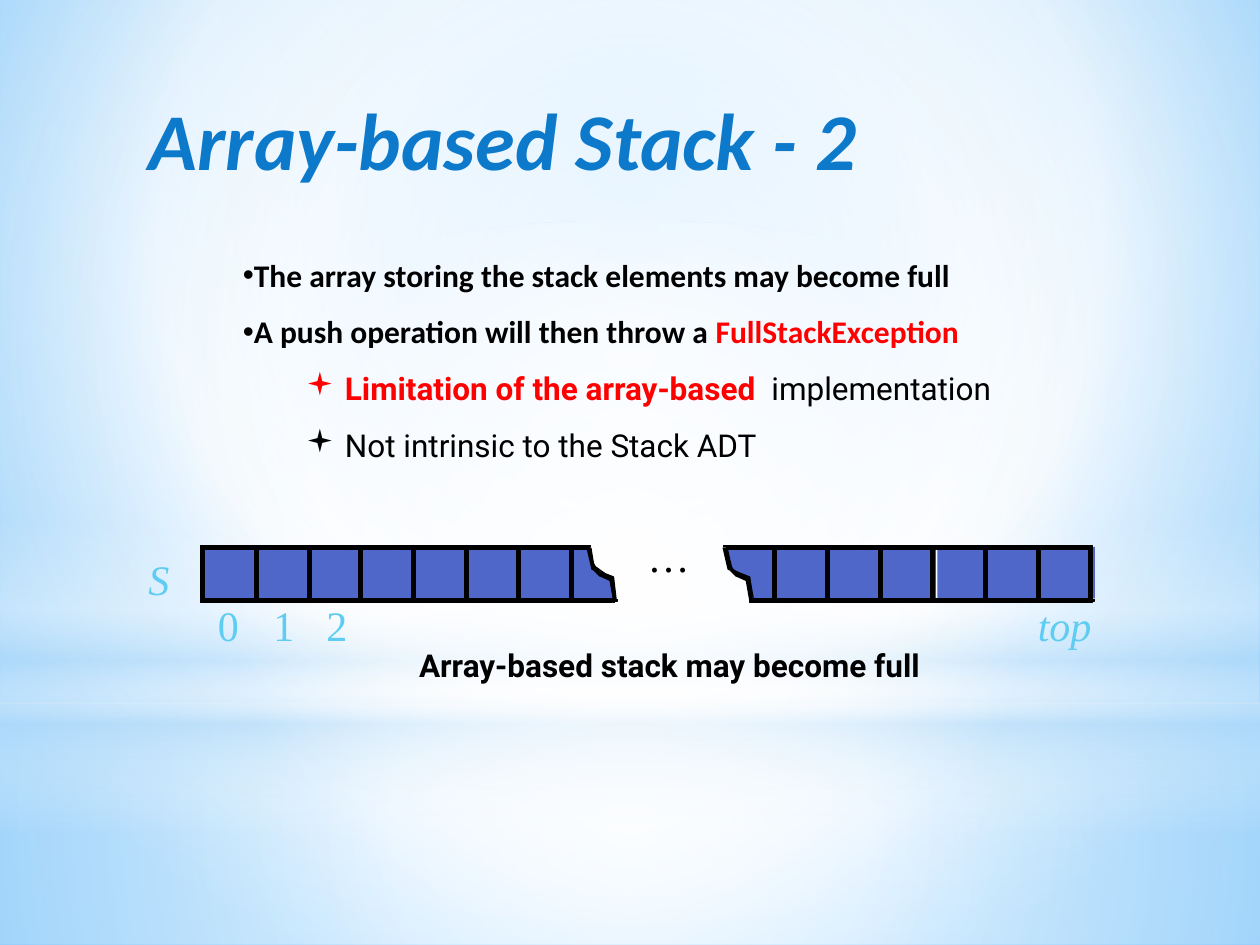
import pptx
import pptx.dml.color
import pptx.enum.shapes
import pptx.enum.text
import pptx.oxml
import pptx.oxml.ns
import pptx.util
from pptx.util import Inches

RGBColor = pptx.dml.color.RGBColor
Shape = pptx.enum.shapes.MSO_SHAPE
Align = pptx.enum.text.PP_ALIGN
Anchor = pptx.enum.text.MSO_ANCHOR

TITLE_BLUE = RGBColor(0x0D, 0x79, 0xCA)
CELL_BLUE = RGBColor(0x4E, 0x67, 0xC8)
LABEL_BLUE = RGBColor(0x5E, 0xCC, 0xF3)
SKY = RGBColor(0x9E, 0xD5, 0xFF)
DEEP_SKY = RGBColor(0x5B, 0xB9, 0xFF)
PALE = RGBColor(0xB4, 0xDC, 0xFA)
WHITE = RGBColor(255, 255, 255)
BLACK = RGBColor(0, 0, 0)
RED = RGBColor(255, 0, 0)
CENTER = (50, 50, 50, 50)


class Painter:
    heading, body, symbol = "Calibri", "Roboto", "Times New Roman"
    bullets = [("Arial", "•"), ("Wingdings", "▪")]

    def __init__(self, deck):
        self.slide = deck.slides.add_slide(deck.slide_layouts[5])

    def gradient(self, fill, owner, stops, focus=None):
        """Stops are (percent, colour, opacity); focus gives a circular path."""
        fill.gradient()
        stop_xml = "".join(
            f'<a:gs pos="{pos * 1000}"><a:srgbClr val="{color}">'
            f'<a:alpha val="{alpha * 1000}"/></a:srgbClr></a:gs>'
            for pos, color, alpha in stops)
        shade = '<a:lin ang="5400000" scaled="0"/>'
        if focus:
            sides = " ".join(f'{side}="{value * 1000}"' for side, value in zip("ltrb", focus))
            shade = f'<a:path path="circle"><a:fillToRect {sides}/></a:path>'
        old = next(owner.iter(pptx.oxml.ns.qn("a:gradFill")))
        new = pptx.oxml.parse_xml(
            f'<a:gradFill {pptx.oxml.ns.nsdecls("a")} rotWithShape="1">'
            f"<a:gsLst>{stop_xml}</a:gsLst>{shade}</a:gradFill>")
        old.getparent().replace(old, new)

    def paint(self, shape, color, outlined):
        shape.shadow.inherit = False
        shape.fill.solid()
        shape.fill.fore_color.rgb = color
        if outlined:
            shape.line.color.rgb = BLACK
            shape.line.width = pptx.util.Pt(0.75)
        else:
            shape.line.fill.background()

    def glow(self, kind, top, height, stops, focus=None):
        shape = self.slide.shapes.add_shape(
            kind, 0, Inches(top), Inches(10), Inches(height))
        shape.shadow.inherit = False
        shape.line.fill.background()
        self.gradient(shape.fill, shape._element.spPr, stops, focus)

    def bar(self, left, top, width, height, color=BLACK, outlined=True):
        shape = self.slide.shapes.add_shape(
            Shape.RECTANGLE, Inches(left), Inches(top), Inches(width), Inches(height))
        self.paint(shape, color, outlined)

    def outline(self, points, color):
        corners = [(Inches(x), Inches(y)) for x, y in points]
        builder = self.slide.shapes.build_freeform(*corners[0], scale=1.0)
        builder.add_line_segments(corners[1:], close=True)
        self.paint(builder.convert_to_shape(), color, True)

    def style(self, font, name, size, color, bold=False, italic=False):
        font.name, font.size = name, pptx.util.Pt(size)
        font.bold, font.italic = bold, italic
        font.color.rgb = color

    def box(self, left, top, width, height, wrap=True, inset=True):
        frame = self.slide.shapes.add_textbox(
            Inches(left), Inches(top), Inches(width), Inches(height)).text_frame
        frame.word_wrap = wrap
        if not inset:
            frame.margin_left = frame.margin_right = 0
            frame.margin_top = frame.margin_bottom = 0
        return frame

    def label(self, text, left, top, width, color=LABEL_BLUE, italic=False):
        frame = self.box(left, top, width, 0.4, wrap=italic, inset=False)
        para = frame.paragraphs[0]
        para.text = text
        para.alignment = Align.CENTER if italic else Align.LEFT
        self.style(para.font, self.symbol, 24, color, italic=italic)

    def title(self, text):
        title = self.slide.shapes.title
        title.left, title.top = Inches(1.08), Inches(0.67)
        title.width, title.height = Inches(7.12), Inches(1.25)
        # Bring the title in front of the light
        title._element.getparent().append(title._element)
        frame = title.text_frame
        frame.vertical_anchor = Anchor.TOP
        frame.margin_top = Inches(0.04)
        para = frame.paragraphs[0]
        para.text = text
        para.alignment = Align.LEFT
        self.style(para.font, self.heading, 46, TITLE_BLUE, True, True)

    def bullet(self, para, level, runs):
        para.level, para.line_spacing = level, 1.5
        name = self.body if level else self.heading
        for text, color, bold in runs:
            span = para.add_run()
            span.text = text
            self.style(span.font, name, 18, color, bold)
        props = para._p.get_or_add_pPr()
        props.set("marL", str(Inches(0.81 * level)))
        props.set("indent", str(Inches(-0.31 * level)))
        typeface, sign = self.bullets[level]
        for tag in (f'buFont {{}} typeface="{typeface}"', f'buChar {{}} char="{sign}"'):
            props.append(pptx.oxml.parse_xml(
                f'<a:{tag.format(pptx.oxml.ns.nsdecls("a"))}/>'))


deck = pptx.Presentation()
deck.slide_width, deck.slide_height = Inches(10), Inches(7.5)
page = Painter(deck)

# Background and soft light
background = page.slide.background
page.gradient(background.fill, page.slide._element,
              [(0, SKY, 100), (60, WHITE, 100), (100, DEEP_SKY, 100)], (20, 10, 20, 60))
page.glow(Shape.RECTANGLE, 5.58, 1.92,
          [(0, WHITE, 91), (37, WHITE, 76), (100, PALE, 79)], CENTER)
page.glow(Shape.RECTANGLE, 0, 5.58,
          [(0, WHITE, 89), (48, WHITE, 62), (100, PALE, 79)], CENTER)
page.glow(Shape.RECTANGLE, 4.12, 2.5,
          [(0, WHITE, 0), (29, WHITE, 30), (45, PALE, 40),
           (55, WHITE, 26), (65, PALE, 60), (100, WHITE, 0)])
page.glow(Shape.OVAL, 1.75, 5.58, [(0, WHITE, 100), (56, WHITE, 0)], CENTER)

# Title and bullets
page.title("Array-based Stack - 2")
bullets = [
    (0, [("The array storing the stack elements may become full", BLACK, True)]),
    (0, [("A push operation will then throw a ", BLACK, True),
         ("FullStackException", RED, True)]),
    (1, [("Limitation of the array-based  ", RED, True), ("implementation", BLACK, False)]),
    (1, [("Not intrinsic to the Stack ADT", BLACK, False)]),
]
frame = page.box(1.83, 1.83, 6.5, 1.92)
for index, (level, runs) in enumerate(bullets):
    para = frame.add_paragraph() if index else frame.paragraphs[0]
    page.bullet(para, level, runs)

# Array halves
page.bar(7.44, 4.34, 1.25, 0.41, CELL_BLUE, outlined=False)
page.outline([(7.42, 4.76), (7.42, 4.35), (5.77, 4.35), (5.81, 4.52),
              (5.95, 4.59), (5.98, 4.76)], CELL_BLUE)
page.outline([(1.6, 4.35), (1.6, 4.76), (4.87, 4.76), (4.84, 4.58),
              (4.7, 4.48), (4.67, 4.35)], CELL_BLUE)

# Borders, with a short tip at each torn end
for left, top, width in [(1.59, 4.33, 3.08), (1.6, 4.75, 3.26),
                         (5.78, 4.33, 2.89), (5.96, 4.75, 2.69),
                         (4.67, 4.33, 0.01), (4.87, 4.75, 0.01),
                         (5.77, 4.33, 0.01), (5.95, 4.75, 0.01)]:
    page.bar(left, top, width, 0.03)
for left in (1.59, 8.64):
    page.bar(left, 4.35, 0.03, 0.43)
page.bar(8.66, 4.76, 0.03, 0.01)

# Cell dividers with end caps
for first, step, count in [(2.02, 0.4167, 7), (6.13, 0.42, 6)]:
    for index in range(count):
        for top, height in [(4.33, 0.01), (4.76, 0.01), (4.35, 0.41)]:
            page.bar(round(first + step * index, 2), top, 0.03, height)

# Torn edges
tear = [
    [(4.69, 4.35), (4.71, 4.47), (4.73, 4.51), (4.77, 4.55), (4.76, 4.57),
     (4.71, 4.52), (4.7, 4.52), (4.69, 4.48), (4.66, 4.35)],
    [(4.77, 4.54), (4.87, 4.58), (4.87, 4.59), (4.84, 4.59), (4.85, 4.61), (4.76, 4.57)],
    [(4.87, 4.59), (4.84, 4.59), (4.87, 4.76), (4.89, 4.76)],
]
for shift in (0, 1.08):
    page.bar(4.66 + shift, 4.33, 0.03, 0.01)
    page.bar(4.87 + shift, 4.76, 0.03, 0.01)
    for piece in tear:
        page.outline([(x + shift, y) for x, y in piece], BLACK)

# Labels and caption
page.label("S", 1.1, 4.39, 0.32, italic=True)
for digit, left in zip("012", (1.73, 2.17, 2.59)):
    page.label(digit, left, 4.76, 0.17)
page.label("top", 8.1, 4.76, 0.7, italic=True)
page.label("…", 5.14, 4.21, 0.33, BLACK)
caption = page.box(3.15, 5.08, 4.33, 0.4, wrap=False).paragraphs[0]
caption.text = "Array-based stack may become full"
caption.alignment = Align.CENTER
page.style(caption.font, page.body, 18, BLACK, True)

deck.save("out.pptx")
